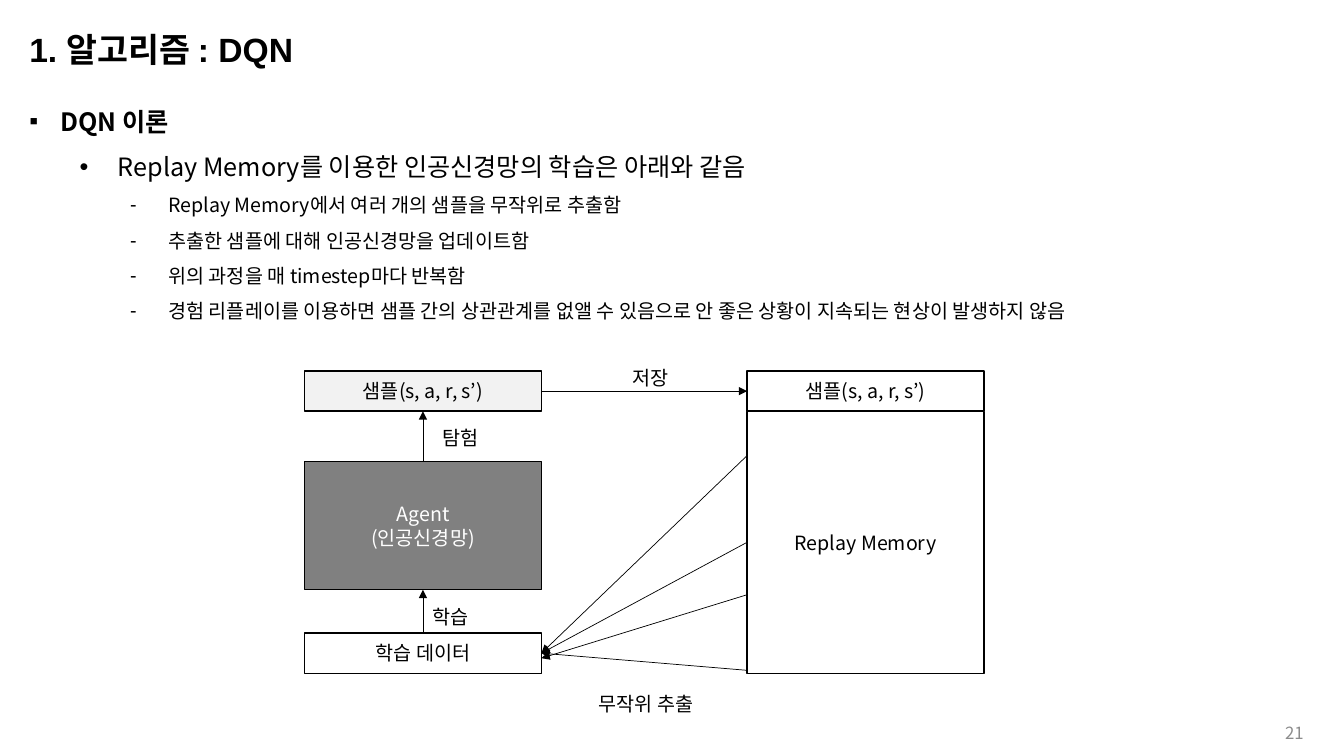
from pptx import Presentation, util as u
from pptx.dml.color import RGBColor
from pptx.enum import shapes, text
from pptx.oxml.ns import qn
from lxml import etree

THEME = dict(ink="000000", white="FFFFFF", pale="F2F2F2", dark="808080", muted="8C8C8C",
             title=24, head=18, text=14, page=12,
             heading="Arial", font="Noto Sans CJK KR")
ALIGN, ANCHOR = text.PP_ALIGN, text.MSO_ANCHOR


def write(frame, lines, size=THEME["text"], color=THEME["ink"], font=THEME["font"], bold=False,
          align=ALIGN.LEFT, anchor=ANCHOR.TOP, wrap=True):
    """Fill a text frame, one paragraph for each line."""
    frame.word_wrap, frame.auto_size, frame.vertical_anchor = wrap, text.MSO_AUTO_SIZE.NONE, anchor
    frame.text = lines
    for para in frame.paragraphs:
        para.alignment, para.space_before = align, u.Pt(0)
        for run in para.runs:
            run.font.size, run.font.bold, run.font.name = u.Pt(size), bold, font
            run.font.color.rgb = RGBColor.from_string(color)
            east_asian = etree.SubElement(run._r.get_or_add_rPr(), qn("a:ea"))
            east_asian.set("typeface", THEME["font"])


def arrow(start, end):
    """Draw an arrow; each end is a point (x, y) or a joint (box, side)."""
    line = slide.shapes.add_connector(shapes.MSO_CONNECTOR.STRAIGHT, 0, 0, 0, 0)
    for finish, (first, second) in enumerate((start, end)):
        if hasattr(first, "text_frame"):
            (line.end_connect if finish else line.begin_connect)(first, second)
        elif finish:
            line.end_x, line.end_y = u.Inches(first), u.Inches(second)
        else:
            line.begin_x, line.begin_y = u.Inches(first), u.Inches(second)
    line.line.width = u.Pt(0.5)
    line.line.color.rgb = RGBColor.from_string(THEME["ink"])
    etree.SubElement(line.line._get_or_add_ln(), qn("a:tailEnd")).set("type", "triangle")
    etree.SubElement(line._element.spPr, qn("a:effectLst"))


deck = Presentation()
deck.slide_width, deck.slide_height = u.Inches(13.33), u.Inches(7.5)
slide = deck.slides.add_slide(deck.slide_layouts[1])
title, theory = slide.placeholders
MARGIN = 0.19

# Title
title.left, title.top, title.width, title.height = map(u.Inches, (MARGIN, 0.24, 12.77, 0.5))
write(title.text_frame, "1. 알고리즘 : DQN", size=THEME["title"], font=THEME["heading"], bold=True)

# Theory outline: level, text
outline = [
    (0, "DQN 이론"),
    (1, "Replay Memory를 이용한 인공신경망의 학습은 아래와 같음"),
    (2, "Replay Memory에서 여러 개의 샘플을 무작위로 추출함"),
    (2, "추출한 샘플에 대해 인공신경망을 업데이트함"),
    (2, "위의 과정을 매 timestep마다 반복함"),
    (2, "경험 리플레이를 이용하면 샘플 간의 상관관계를 없앨 수 있음으로 "
        "안 좋은 상황이 지속되는 현상이 발생하지 않음"),
]
# Per level: bullet, left margin, hanging indent, size, bold
levels = [("▪", 0.31, 0.31, THEME["head"], True),
          ("•", 0.88, 0.38, THEME["head"], False),
          ("-", 1.38, 0.38, THEME["text"], False)]
theory.left, theory.top, theory.width, theory.height = map(u.Inches, (MARGIN, 0.85, 12.62, 2.38))
write(theory.text_frame, "\n".join(line for _, line in outline))
for para, (level, _) in zip(theory.text_frame.paragraphs, outline):
    bullet, margin, hang, size, bold = levels[level]
    para.level, para.line_spacing = level, 1.5
    para.runs[0].font.size, para.runs[0].font.bold = u.Pt(size), bold
    props = para._p.get_or_add_pPr()
    props.set("marL", str(u.Inches(margin)))
    props.set("indent", str(-u.Inches(hang)))
    etree.SubElement(props, qn("a:buFont")).set("typeface", THEME["heading"])
    etree.SubElement(props, qn("a:buChar")).set("char", bullet)

# Boxes of the learning loop: two columns of equal width
AGENT_X, MEMORY_X, BOX_W, ROW_H = 3.02, 7.41, 2.35, 0.4
TOP, BOTTOM = 3.68, 6.28
boxes = []
for x, y, height, fill, color, caption in [
    (AGENT_X, TOP, ROW_H, "pale", "ink", "샘플(s, a, r, s’)"),
    (AGENT_X, 4.58, 1.27, "dark", "white", "Agent\n(인공신경망)"),
    (AGENT_X, BOTTOM, ROW_H, "white", "ink", "학습 데이터"),
    (MEMORY_X, TOP, ROW_H, "white", "ink", "샘플(s, a, r, s’)"),
    (MEMORY_X, TOP + ROW_H, BOTTOM - TOP, "white", "ink", "Replay Memory"),
]:
    box = slide.shapes.add_shape(shapes.MSO_SHAPE.RECTANGLE, *map(u.Inches, (x, y, BOX_W, height)))
    box.shadow.inherit = False
    box.fill.solid()
    box.fill.fore_color.rgb = RGBColor.from_string(THEME[fill])
    box.line.color.rgb = RGBColor.from_string(THEME["ink"])
    box.line.width = u.Pt(1)
    write(box.text_frame, caption, color=THEME[color], align=ALIGN.CENTER, anchor=ANCHOR.MIDDLE)
    boxes.append(box)
sample, agent, training, stored, memory = boxes

# Arrows: random draws from memory, then training, exploring and storing
arrow((MEMORY_X, 4.52), (training, 3))
arrow((memory, 1), (training, 3))
arrow((MEMORY_X, 5.9), (AGENT_X + BOX_W, 6.53))
arrow((MEMORY_X, 6.65), (training, 3))
arrow((training, 0), (agent, 2))
arrow((agent, 0), (sample, 2))
arrow((sample, 3), (stored, 1))

# Arrow labels
for x, y, width, label in [(5.84, 6.82, 1.25, "무작위 추출"), (4.19, 5.95, 0.59, "학습"),
                           (4.29, 4.18, 0.59, "탐험"), (6.17, 3.58, 0.59, "저장")]:
    note = slide.shapes.add_textbox(*map(u.Inches, (x, y, width, 0.34)))
    write(note.text_frame, label, wrap=False)

# Page number
page = slide.shapes.add_textbox(*map(u.Inches, (10.03, 7.07, 3, 0.4)))
write(page.text_frame, "21", size=THEME["page"], color=THEME["muted"],
      align=ALIGN.RIGHT, anchor=ANCHOR.MIDDLE)

deck.save("out.pptx")
